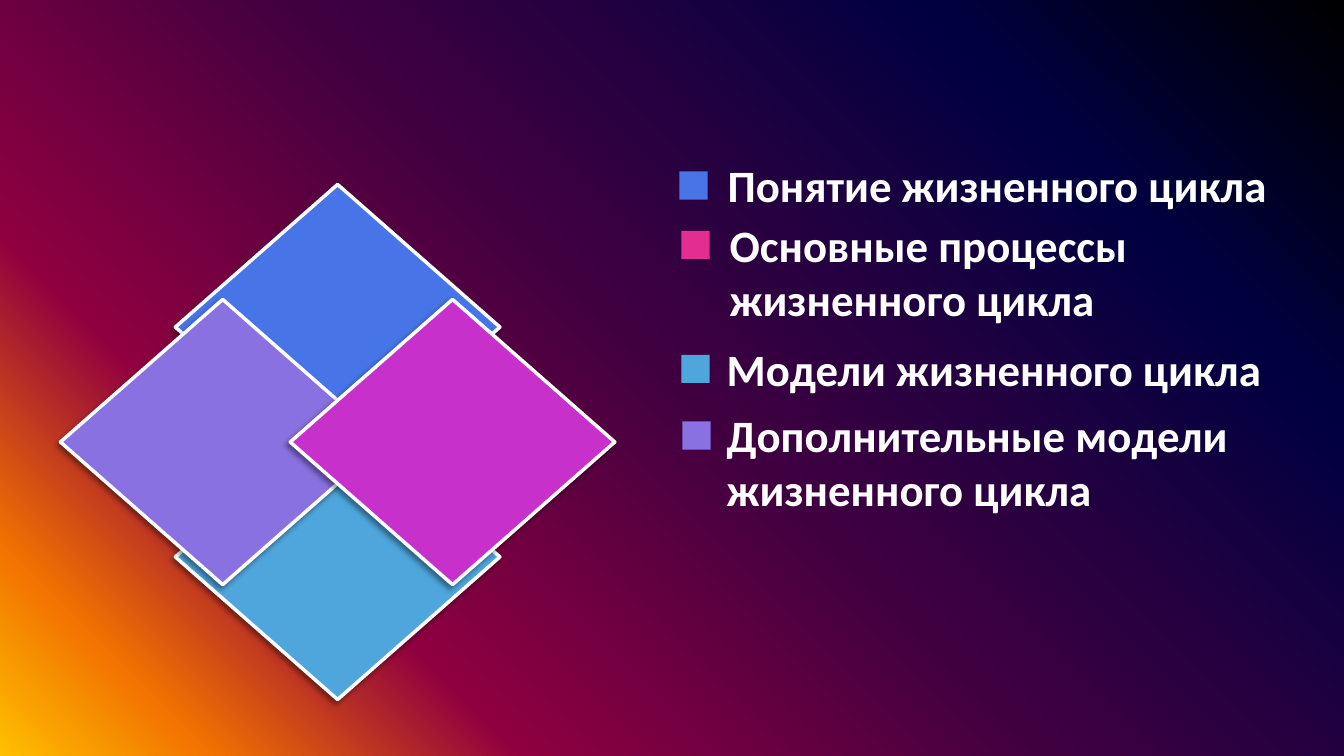
import lxml.etree
import pptx
import pptx.dml.color
import pptx.enum.shapes
import pptx.enum.text
import pptx.oxml
import pptx.oxml.ns
import pptx.util

SHAPE = pptx.enum.shapes.MSO_SHAPE
BLUE, CYAN, VIOLET, MAGENTA, PINK = "4775E7", "4EA6DC", "8971E1", "C830CC", "E32D91"
WHITE = "FFFFFF"
BACKGROUND_STOPS = [(0, "000000"), (20, "000040"), (50, "400040"),
                    (75, "8F0040"), (90, "F27300"), (100, "FFBF00")]

# Lengths below are percent of the slide's width (x) and height (y).
CLUSTER_CENTER = (25.12, 58.47)
CLUSTER_STEP = (8.55, 15.2)
DIAMOND_SIZE = (24.15, 37.73)
DIAMONDS = [(0, -1, BLUE), (0, 1, CYAN), (-1, 0, VIOLET), (1, 0, MAGENTA)]
MARKER_SIZE = (2.1, 3.73)
LINE_HEIGHT = 7.2
BOX_MARGINS = 1.33

# color, marker position, text position, text width, line count, paragraphs
TOPICS = [
    (BLUE, (50.55, 22.67), (53.4, 20.2), 46.6, 1, ["Понятие жизненного цикла"]),
    (PINK, (50.7, 30.53), (53.55, 28.2), 38.33, 2,
     ["Основные процессы жизненного цикла"]),
    (CYAN, (50.7, 46.93), (53.33, 44.6), 42.8, 1, ["Модели жизненного цикла"]),
    (VIOLET, (50.78, 55.73), (53.33, 53.33), 42.8, 2,
     ["Дополнительные модели", "жизненного цикла"]),
]


def rgb(color):
    return pptx.dml.color.RGBColor.from_string(color)


class SlideBuilder:
    """Draws on one slide, with lengths in percent of its size."""
    font_name = "Calibri"
    font_size = pptx.util.Pt(32)
    outline_width = pptx.util.Pt(2.5)

    def __init__(self, presentation):
        self.width = presentation.slide_width
        self.height = presentation.slide_height
        self.slide = presentation.slides.add_slide(presentation.slide_layouts[6])

    def frame(self, position, size):
        """Turn percent position and size into left, top, width, height."""
        return [int(share * whole / 100) for share, whole in
                zip((*position, *size), (self.width, self.height) * 2)]

    def background(self, stops, angle):
        """Fill with gradient stops; the angle is counter-clockwise."""
        fill = self.slide.background.fill
        fill.gradient()
        fill.gradient_angle = angle
        stop_list = self.slide.element.find(".//" + pptx.oxml.ns.qn("a:gsLst"))
        for old_stop in list(stop_list):
            stop_list.remove(old_stop)
        for percent, color in stops:
            stop = lxml.etree.SubElement(stop_list, pptx.oxml.ns.qn("a:gs"),
                                         pos=str(percent * 1000))
            lxml.etree.SubElement(stop, pptx.oxml.ns.qn("a:srgbClr"), val=color)

    def plain_shape(self, kind, position, size, color):
        shape = self.slide.shapes.add_shape(kind, *self.frame(position, size))
        shape.shadow.inherit = False
        shape.fill.solid()
        shape.fill.fore_color.rgb = rgb(color)
        shape.line.fill.background()
        return shape

    def diamond(self, center, size, color):
        corner = [middle - length / 2 for middle, length in zip(center, size)]
        diamond = self.plain_shape(SHAPE.DIAMOND, corner, size, color)
        diamond.line.color.rgb = rgb(WHITE)
        diamond.line.width = self.outline_width
        effects = diamond.element.spPr.find(pptx.oxml.ns.qn("a:effectLst"))
        effects.append(pptx.oxml.parse_xml(
            f'<a:outerShdw {pptx.oxml.ns.nsdecls("a")} blurRad="{pptx.util.Pt(4)}" '
            f'dist="{pptx.util.Pt(3)}" dir="8100000" algn="tr" rotWithShape="0">'
            '<a:srgbClr val="000000"><a:alpha val="40000"/></a:srgbClr></a:outerShdw>'))

    def marker(self, position, color):
        self.plain_shape(SHAPE.RECTANGLE, position, MARKER_SIZE, color)

    def label(self, position, size, lines):
        box = self.slide.shapes.add_textbox(*self.frame(position, size))
        text = box.text_frame
        text.word_wrap = True
        text.auto_size = pptx.enum.text.MSO_AUTO_SIZE.SHAPE_TO_FIT_TEXT
        text.text = "\n".join(lines)
        for paragraph in text.paragraphs:
            paragraph.font.name = self.font_name
            paragraph.font.size = self.font_size
            paragraph.font.bold = True
            paragraph.font.color.rgb = rgb(WHITE)


def main():
    presentation = pptx.Presentation()
    presentation.slide_width = pptx.util.Inches(13.33)
    presentation.slide_height = pptx.util.Inches(7.5)
    builder = SlideBuilder(presentation)
    builder.background(BACKGROUND_STOPS, 225)
    for across, down, color in DIAMONDS:
        center = (CLUSTER_CENTER[0] + across * CLUSTER_STEP[0],
                  CLUSTER_CENTER[1] + down * CLUSTER_STEP[1])
        builder.diamond(center, DIAMOND_SIZE, color)
    for color, marker_at, text_at, width, line_count, lines in TOPICS:
        builder.marker(marker_at, color)
        builder.label(text_at, (width, line_count * LINE_HEIGHT + BOX_MARGINS), lines)
    presentation.save("out.pptx")


if __name__ == "__main__":
    main()
